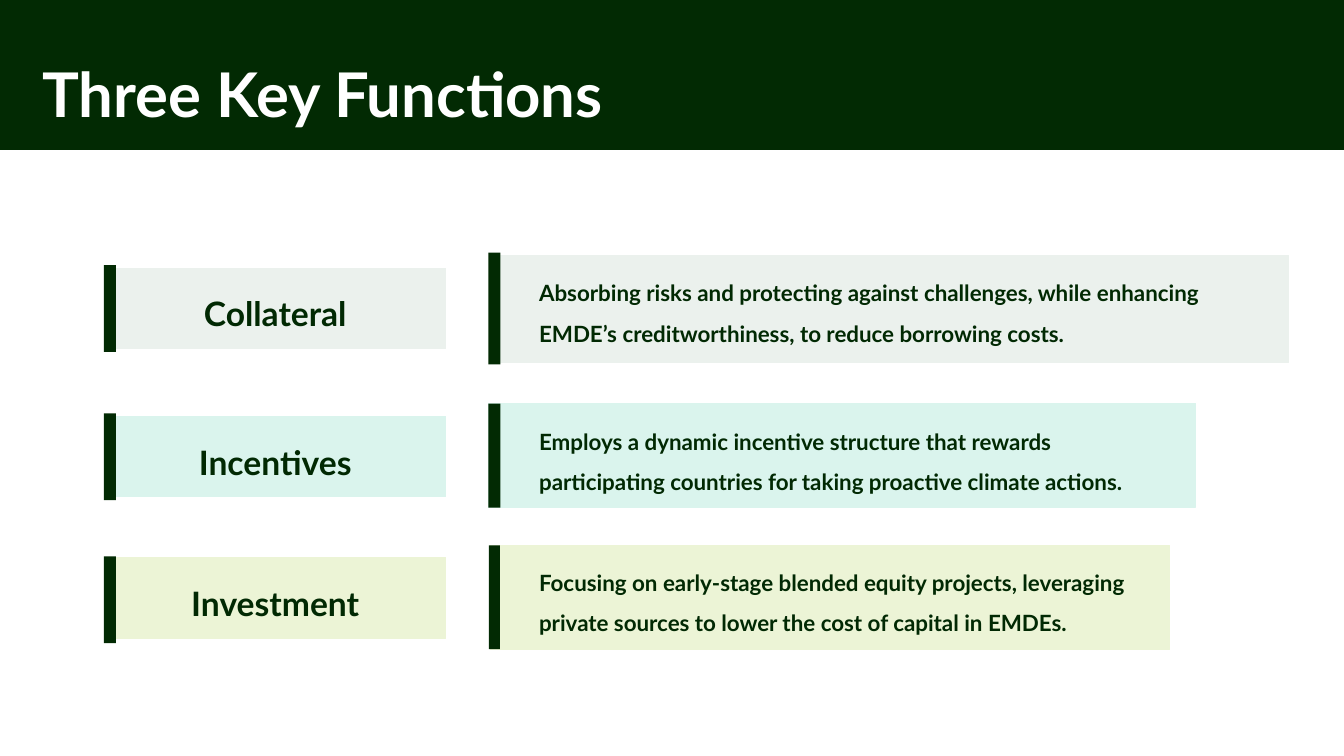
from dataclasses import dataclass

from pptx import Presentation
from pptx.dml.color import RGBColor
from pptx.enum.shapes import MSO_SHAPE as Kind
from pptx.enum.text import MSO_ANCHOR as Anchor, PP_ALIGN as Align
from pptx.shapes.autoshape import Shape
from pptx.slide import Slide
from pptx.util import Pt

DARK = RGBColor(0x02, 0x2A, 0x03)
INK = RGBColor(0x01, 0x29, 0x03)
WHITE = RGBColor(0xFF, 0xFF, 0xFF)
GREY = RGBColor(0xEB, 0xF1, 0xED)
MINT = RGBColor(0xDA, 0xF4, 0xED)
LIME = RGBColor(0xEC, 0xF4, 0xD6)
FONT = "Lato"


@dataclass
class Box:
    left: float
    top: float
    width: float
    height: float


@dataclass
class Row:
    label: str
    text: str
    tint: RGBColor
    top: float
    mark: Box
    panel: Box
    bar: Box
    width: float


ROWS = [
    Row("Collateral",
        "Absorbing risks and protecting against challenges, while enhancing "
        "EMDE’s creditworthiness, to reduce borrowing costs.",
        GREY, 191.5, Box(74.2, 189.4, 8.6, 62),
        Box(350.6, 182.2, 569.5, 77), Box(348.8, 180.4, 8.6, 80), 527),
    Row("Incentives",
        "Employs a dynamic incentive structure that rewards "
        "participating countries for taking proactive climate actions.",
        MINT, 297.4, Box(74.2, 295.3, 8.6, 62),
        Box(349.2, 288, 504.7, 74.2), Box(348.8, 288.4, 8.6, 74.2), 471.6),
    Row("Investment",
        "Focusing on early-stage blended equity projects, leveraging "
        "private sources to lower the cost of capital in EMDEs.",
        LIME, 398.2, Box(74.2, 397.4, 8.6, 62),
        Box(350.6, 389.5, 484.6, 74.2), Box(349.2, 389.5, 7.9, 74.2), 444.2),
]


def block(slide: Slide, box: Box, tint: RGBColor, line: float = 0) -> Shape:
    """Draw a filled rectangle, with an edge of the same colour if asked."""
    shape = slide.shapes.add_shape(
        Kind.RECTANGLE, Pt(box.left), Pt(box.top), Pt(box.width), Pt(box.height))
    shape.shadow.inherit = False
    shape.fill.solid()
    shape.fill.fore_color.rgb = tint
    if line:
        shape.line.color.rgb = tint
        shape.line.width = Pt(line)
    else:
        shape.line.fill.background()
    return shape


def write(shape: Shape, text: str, size: float, tint: RGBColor,
          align: Align = Align.LEFT, space: float = 1.5) -> None:
    """Put one bold run at the top of a shape."""
    frame = shape.text_frame
    frame.word_wrap = True
    frame.vertical_anchor = Anchor.TOP
    para = frame.paragraphs[0]
    para.alignment = align
    para.line_spacing = space
    run = para.add_run()
    run.text = text
    run.font.name = FONT
    run.font.size = Pt(size)
    run.font.bold = True
    run.font.color.rgb = tint


def head(slide: Slide, text: str) -> None:
    """Draw the top band and its title."""
    block(slide, Box(0, 0, 960, 106.6), DARK, 1)
    title = slide.shapes.add_textbox(Pt(30.2), Pt(35.3), Pt(900), Pt(61.9))
    write(title, text, 44, WHITE, space=1)
    frame = title.text_frame
    frame.vertical_anchor = Anchor.MIDDLE
    frame.margin_left = frame.margin_right = Pt(0)
    frame.margin_top = frame.margin_bottom = Pt(0)


def draw(slide: Slide, row: Row) -> None:
    """Draw one function: its label, its panel and their bars."""
    label = block(slide, Box(74.9, row.top, 243.4, 57.6), row.tint, 0.75)
    write(label, row.label, 24, INK, Align.CENTER)
    block(slide, row.panel, row.tint, 0.75)
    body = block(slide, Box(378, row.top - 5, row.width, 67.7), row.tint)
    write(body, row.text, 16, INK)
    for bar in (row.mark, row.bar):
        block(slide, bar, DARK)


def main() -> None:
    """Build and save the slide."""
    deck = Presentation()
    deck.slide_width, deck.slide_height = Pt(960), Pt(540)
    slide = deck.slides.add_slide(deck.slide_layouts[6])
    head(slide, "Three Key Functions")
    for row in ROWS:
        draw(slide, row)
    deck.save("out.pptx")


if __name__ == "__main__":
    main()
